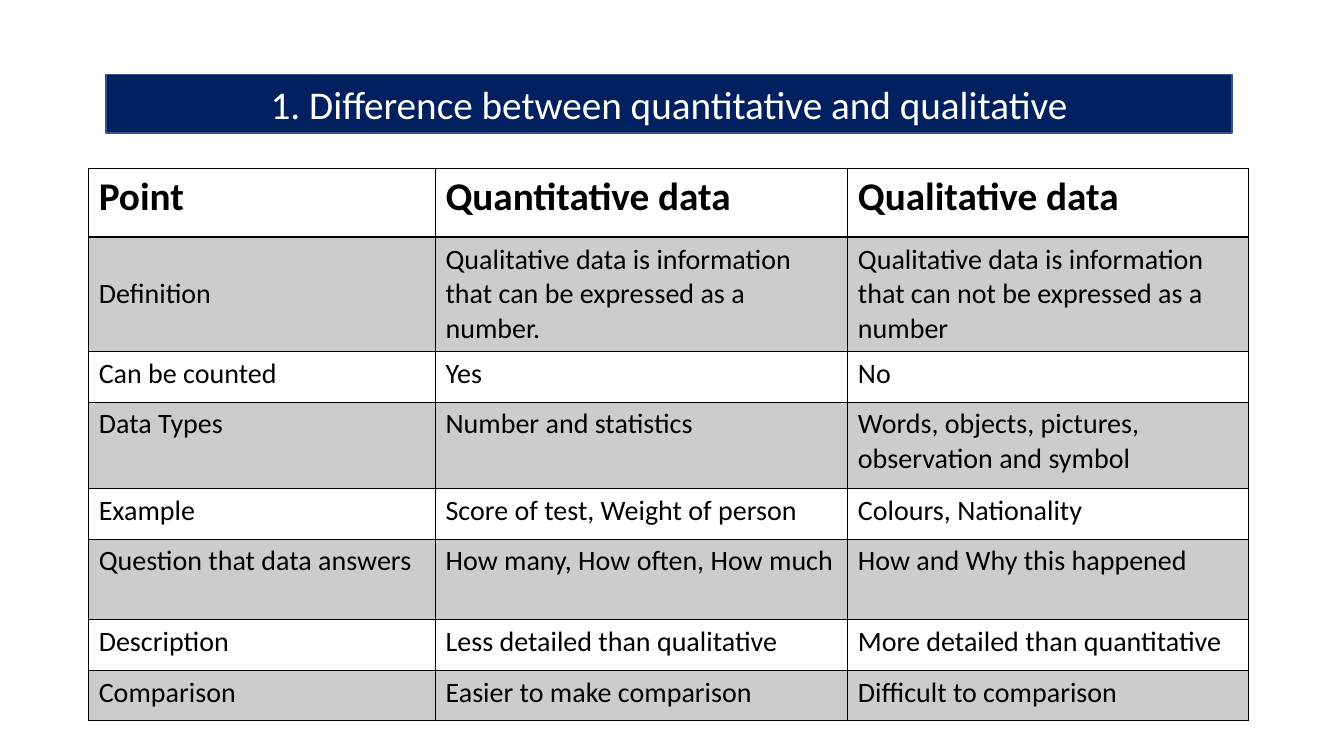
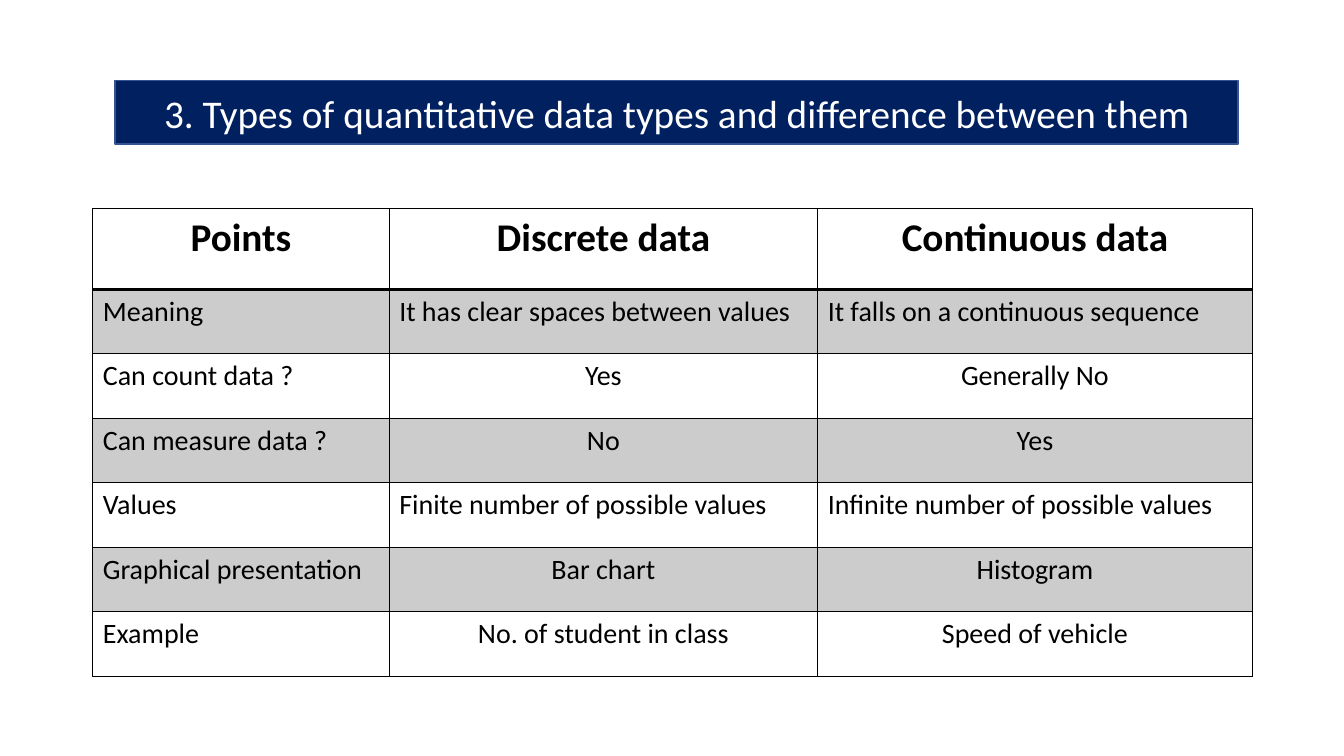
from dataclasses import dataclass

from lxml.etree import SubElement
from pptx import Presentation
from pptx.dml.color import RGBColor
from pptx.enum.text import MSO_ANCHOR, MSO_AUTO_SIZE, PP_ALIGN
from pptx.oxml.ns import qn
from pptx.util import Inches, Pt

FONT = "Calibri"
COLORS = {
    "band": "002060",
    "outline": "325491",
    "stripe": "CCCCCC",
    "white": "FFFFFF",
    "black": "000000",
}


@dataclass
class Row:
    cells: tuple[str, ...]
    height: float
    centered: bool = False
    anchor: MSO_ANCHOR = MSO_ANCHOR.TOP


@dataclass
class Comparison:
    title: str
    title_box: tuple[float, float, float, float]
    table_at: tuple[float, float]
    widths: tuple[float, ...]
    rows: tuple[Row, ...]


COMPARISONS = (
    Comparison(
        "1. Difference between quantitative and qualitative",
        (1.05, 0.74, 11.17, 0.58), (0.88, 1.67), (3.44, 4.09, 3.97),
        (
            Row(("Point", "Quantitative data", "Qualitative data"), 0.68),
            Row(("Definition",
                 "Qualitative data is information that can be expressed as a number.",
                 "Qualitative data is information that can not be expressed as a number"),
                1.14, anchor=MSO_ANCHOR.MIDDLE),
            Row(("Can be counted", "Yes", "No"), 0.5),
            Row(("Data Types", "Number and statistics",
                 "Words, objects, pictures, observation and symbol"), 0.86),
            Row(("Example", "Score of test, Weight of person", "Colours, Nationality"), 0.5),
            Row(("Question that data answers", "How many, How often, How much",
                 "How and Why this happened"), 0.8),
            Row(("Description", "Less detailed than qualitative",
                 "More detailed than quantitative"), 0.5),
            Row(("Comparison", "Easier to make comparison", "Difficult to comparison"), 0.5),
        ),
    ),
    Comparison(
        "3. Types of quantitative data types and difference between them",
        (1.14, 0.8, 11.14, 0.63), (0.92, 2.07), (2.94, 4.25, 4.31),
        (
            Row(("Points", "Discrete data", "Continuous data"), 0.8, True),
            Row(("Meaning", "It has clear spaces between values",
                 "It falls on a continuous sequence"), 0.64),
            Row(("Can count data ?", "Yes", "Generally No"), 0.64, True),
            Row(("Can measure data ?", "No", "Yes"), 0.64, True),
            Row(("Values", "Finite number of possible values",
                 "Infinite number of possible values"), 0.64),
            Row(("Graphical presentation", "Bar chart", "Histogram"), 0.64, True),
            Row(("Example", "No. of student in class", "Speed of vehicle"), 0.64, True),
        ),
    ),
)


def rgb(name: str) -> RGBColor:
    return RGBColor.from_string(COLORS[name])


def set_text(tf, text: str, *, size: int, color: str = "black",
             bold: bool = False, centered: bool = False) -> None:
    p = tf.paragraphs[0]
    p.alignment = PP_ALIGN.CENTER if centered else PP_ALIGN.LEFT
    r = p.add_run()
    r.text = text
    r.font.name, r.font.size, r.font.bold = FONT, Pt(size), bold
    r.font.color.rgb = rgb(color)


def set_borders(cell, top: int, bottom: int) -> None:
    tc_pr = cell._tc.get_or_add_tcPr()
    for side, width in (("L", 1), ("R", 1), ("T", top), ("B", bottom)):
        ln = SubElement(tc_pr, qn(f"a:ln{side}"), w=str(Pt(width)))
        fill = SubElement(ln, qn("a:solidFill"))
        SubElement(fill, qn("a:srgbClr"), val=COLORS["black"])


def add_title(s, text: str, box: tuple[float, float, float, float]) -> None:
    sp = s.shapes.title
    sp.left, sp.top, sp.width, sp.height = map(Inches, box)
    sp.fill.solid()
    sp.fill.fore_color.rgb = rgb("band")
    sp.line.color.rgb = rgb("outline")
    sp.line.width = Pt(1)
    tf = sp.text_frame
    tf.word_wrap = True
    tf.auto_size = MSO_AUTO_SIZE.NONE
    tf.vertical_anchor = MSO_ANCHOR.MIDDLE
    set_text(tf, text, size=28, color="white", centered=True)


def add_comparison_table(s, comparison: Comparison) -> None:
    rows, widths = comparison.rows, comparison.widths
    left, top = comparison.table_at
    size = sum(widths), sum(row.height for row in rows)
    table = s.shapes.add_table(len(rows), len(widths),
                               *map(Inches, (left, top, *size))).table
    table.horz_banding = False
    for column, width in zip(table.columns, widths):
        column.width = Inches(width)
    for i, row in enumerate(rows):
        header = i == 0
        table.rows[i].height = Inches(row.height)
        for j, text in enumerate(row.cells):
            cell = table.cell(i, j)
            set_borders(cell, 2 if i == 1 else 1, 2 if header else 1)
            cell.fill.solid()
            cell.fill.fore_color.rgb = rgb("stripe" if i % 2 else "white")
            cell.vertical_anchor = row.anchor
            set_text(cell.text_frame, text, size=28 if header else 20, bold=header,
                     centered=row.centered and (header or j > 0))


def main() -> None:
    """Build the comparison slides and save them."""
    prs = Presentation()
    prs.slide_width, prs.slide_height = Inches(13.33), Inches(7.5)
    for comparison in COMPARISONS:
        s = prs.slides.add_slide(prs.slide_layouts[5])
        add_title(s, comparison.title, comparison.title_box)
        add_comparison_table(s, comparison)
    prs.save("out.pptx")


main()
